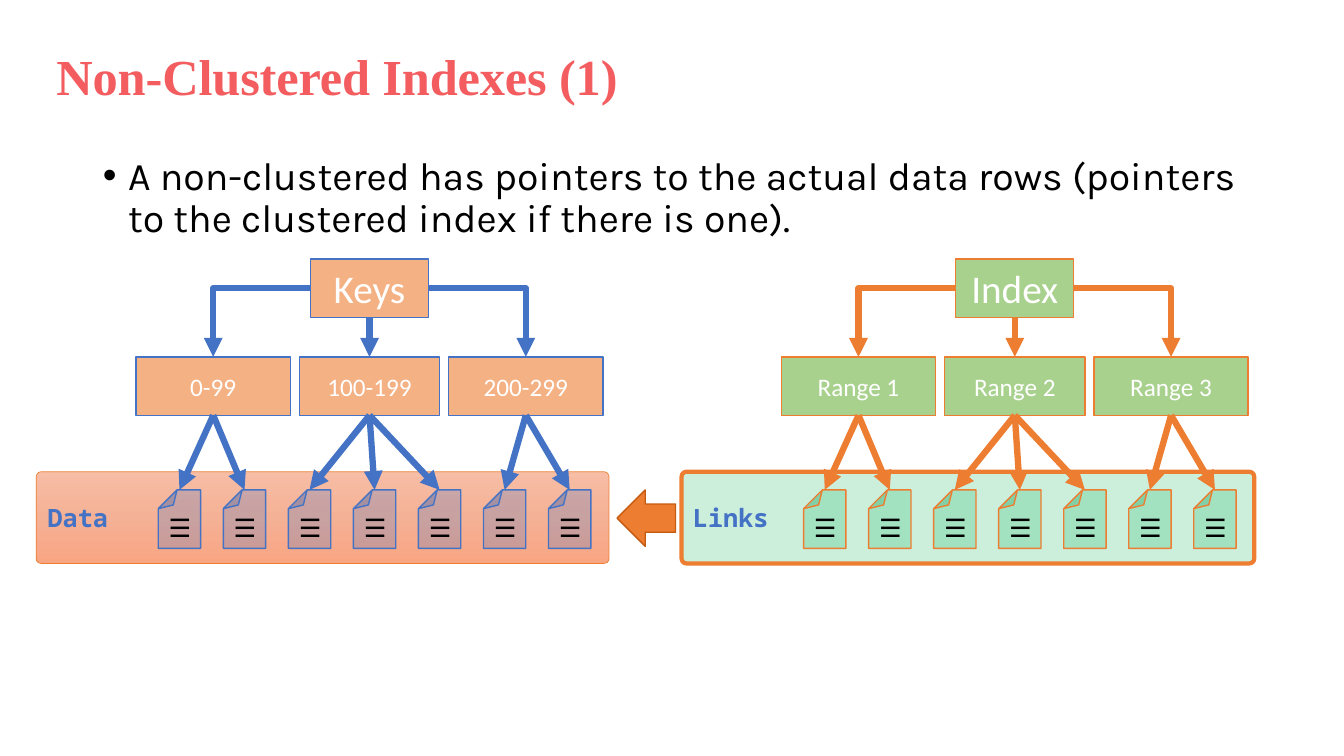
from copy import deepcopy
from dataclasses import dataclass

from pptx import Presentation
from pptx import util as u
from pptx.dml import color
from pptx.enum import shapes, text
from pptx.oxml import parse_xml
from pptx.oxml.ns import nsdecls, qn

COLORS = {
    "title": "F45D60", "black": "000000", "white": "FFFFFF",
    "blue": "4472C4", "orange": "ED7D31", "rust": "C55A11",
    "peach": "F4B183", "sage": "A9D18E", "green": "00B050",
}
DATA_GRADIENT = {0: "F7BDA5", 0.5: "F5B196", 1: "F8A582"}
SANS, MONO = "Calibri", "Noto Sans Mono"
PRESET = shapes.MSO_SHAPE
ALIGN = text.PP_ALIGN
TOP, LEFT, BOTTOM, RIGHT = range(4)  # connection sites of a rectangle

ROOT_BOX = (3.08, 2.57, 1.17, 0.58)
RANGE_BOXES = [(1.35, 1.53), (2.97, 1.39), (4.45, 1.53)]  # left, width
PAGES_PER_RANGE = (2, 3, 2)
PAGE_COUNT = sum(PAGES_PER_RANGE)
PAGE_LEFT, PAGE_TOP, PAGE_WIDTH, PAGE_HEIGHT = 1.57, 4.86, 0.42, 0.58
PAGE_PITCH = 3.87 / (PAGE_COUNT - 1)


@dataclass
class IndexTree:
    offset: float
    root: str
    ranges: tuple[str, ...]
    store: str
    box_fill: str
    accent: str
    page_fill: str
    page_opacity: int
    store_line: float
    store_gradient: dict[float, str] | None = None


TREES = [
    IndexTree(0, "Keys", ("0-99", "100-199", "200-299"), "Data",
              "peach", "blue", "blue", 25, 0.5, DATA_GRADIENT),
    IndexTree(6.4, "Index", ("Range 1", "Range 2", "Range 3"), "Links",
              "sage", "orange", "green", 20, 3),
]


def rgb(name: str) -> color.RGBColor:
    return color.RGBColor.from_string(COLORS[name])


def inches(*lengths: float) -> list[u.Length]:
    return [u.Inches(length) for length in lengths]


def write(frame, words: str, size: float, font: str, ink: str,
          align=ALIGN.CENTER, bold: bool = False):
    paragraph = frame.paragraphs[0]
    paragraph.alignment = align
    run = paragraph.add_run()
    run.text = words
    for key, value in {"size": u.Pt(size), "name": font, "bold": bold}.items():
        setattr(run.font, key, value)
    run.font.color.rgb = rgb(ink)
    return run


def place(placeholder, box: tuple[float, ...]) -> None:
    for side, value in zip(("left", "top", "width", "height"), inches(*box)):
        setattr(placeholder, side, value)


def add_block(slide, preset, box: tuple[float, ...], fill: str, line: str,
              line_width: float = 1, opacity: int = 100):
    block = slide.shapes.add_shape(preset, *inches(*box))
    block.shadow.inherit = False
    block.fill.solid()
    block.fill.fore_color.rgb = rgb(fill)
    if opacity < 100:
        tint = block._element.spPr.find(f"{qn('a:solidFill')}/{qn('a:srgbClr')}")
        tint.append(parse_xml(f'<a:alpha {nsdecls("a")} val="{opacity * 1000}"/>'))
    block.line.color.rgb = rgb(line)
    block.line.width = u.Pt(line_width)
    return block


def shade(block, stops: dict[float, str]) -> None:
    """Fill the block with a top-to-bottom gradient."""
    block.fill.gradient()
    block.fill.gradient_angle = 270
    stop_list = block._element.spPr.find(f"{qn('a:gradFill')}/{qn('a:gsLst')}")
    while len(stop_list) < len(stops):
        stop_list.append(deepcopy(stop_list[0]))
    for stop, (position, hex_value) in zip(block.fill.gradient_stops, stops.items()):
        stop.color.rgb = color.RGBColor.from_string(hex_value)
        stop.position = position


def add_arrow(slide, start, site: int, accent: str, end=None,
              point: tuple[float, float] = (0, 0), bent: bool = False) -> None:
    """Draw an arrow from a box's site to the top of another box or to a point."""
    kind = shapes.MSO_CONNECTOR.ELBOW if bent else shapes.MSO_CONNECTOR.STRAIGHT
    arrow = slide.shapes.add_connector(kind, 0, 0, *inches(*point))
    arrow.begin_connect(start, site)
    if end is not None:
        arrow.end_connect(end, TOP)
    arrow.line.color.rgb = rgb(accent)
    arrow.line.width = u.Pt(4.5)
    properties = arrow._element.spPr
    if bent:
        properties.find(qn("a:prstGeom")).set("prst", "bentConnector2")
    properties.find(qn("a:ln")).append(
        parse_xml(f'<a:tailEnd {nsdecls("a")} type="triangle"/>'))
    properties.append(parse_xml(f'<a:effectLst {nsdecls("a")}/>'))


def add_page(slide, left: float, tree: IndexTree) -> None:
    page = add_block(slide, PRESET.FOLDED_CORNER,
                     (left, PAGE_TOP, PAGE_WIDTH, PAGE_HEIGHT),
                     tree.page_fill, tree.accent, opacity=tree.page_opacity)
    page.rotation = 180
    fold = page._element.spPr.find(f"{qn('a:prstGeom')}/{qn('a:avLst')}")
    for guide in list(fold):
        fold.remove(guide)
    fold.append(parse_xml(f'<a:gd {nsdecls("a")} name="adj" fmla="val 44200"/>'))
    rows = slide.shapes.add_textbox(*inches(left - 0.12, 5.03, 0.67, 0.4)).text_frame
    rows.word_wrap = True
    rows.auto_size = text.MSO_AUTO_SIZE.SHAPE_TO_FIT_TEXT
    write(rows, "☰", 18, MONO, "black", bold=True)


def add_tree(slide, tree: IndexTree) -> None:
    def add_node(words: str, size: float, box: tuple[float, ...]):
        left, *rest = box
        node = add_block(slide, PRESET.RECTANGLE, (left + tree.offset, *rest),
                         tree.box_fill, tree.accent)
        write(node.text_frame, words, size, SANS, "white")
        return node

    root = add_node(tree.root, 28, ROOT_BOX)

    store = add_block(slide, PRESET.ROUNDED_RECTANGLE,
                      (0.36 + tree.offset, 4.68, 5.68, 0.91), tree.page_fill,
                      "orange", tree.store_line, tree.page_opacity)
    store.adjustments[0] = 0.053
    if tree.store_gradient:
        shade(store, tree.store_gradient)
    write(store.text_frame, tree.store, 18, MONO, "blue", ALIGN.LEFT, True)

    page_lefts = [PAGE_LEFT + tree.offset + i * PAGE_PITCH for i in range(PAGE_COUNT)]
    for left in page_lefts:
        add_page(slide, left, tree)

    range_nodes = [add_node(words, 18, (left, 3.54, width, 0.58))
                   for words, (left, width) in zip(tree.ranges, RANGE_BOXES)]
    for node, site in zip(range_nodes, (LEFT, BOTTOM, RIGHT)):
        add_arrow(slide, root, site, tree.accent, end=node, bent=site != BOTTOM)

    remaining = iter(page_lefts)
    for node, count in zip(range_nodes, PAGES_PER_RANGE):
        for _ in range(count):
            page_center = next(remaining) + PAGE_WIDTH / 2
            add_arrow(slide, node, BOTTOM, tree.accent, point=(page_center, PAGE_TOP))


def add_heading(slide) -> None:
    title = slide.shapes.title
    place(title, (0.46, 0.4, 6.68, 0.71))
    title.text_frame.vertical_anchor = text.MSO_ANCHOR.TOP
    title.text_frame.auto_size = text.MSO_AUTO_SIZE.NONE
    run = write(title.text_frame, "Non-Clustered Indexes (1)", 36,
                "Times New Roman", "title", ALIGN.LEFT, True)
    run._r.get_or_add_rPr().set("spc", "-10")


def add_definition(slide) -> None:
    body = slide.placeholders[1]
    place(body, (0.92, 1.5, 11.5, 4.76))
    body.text_frame.auto_size = text.MSO_AUTO_SIZE.NONE
    write(body.text_frame,
          "A non-clustered has pointers to the actual data rows (pointers "
          "to the clustered index if there is one).", 28, "Karla", "black", ALIGN.LEFT)
    paragraph = body.text_frame.paragraphs[0]
    for key, value in {"line_spacing": 0.9, "space_before": u.Pt(0)}.items():
        setattr(paragraph, key, value)
    indents = paragraph._p.get_or_add_pPr()
    for key, value in {"marL": 0.25, "indent": -0.25}.items():
        indents.set(key, str(u.Inches(value)))


def main() -> None:
    deck = Presentation()
    deck.slide_width, deck.slide_height = inches(13.33, 7.5)
    slide = deck.slides.add_slide(deck.slide_layouts[1])
    add_heading(slide)
    add_definition(slide)
    for tree in TREES:
        add_tree(slide, tree)
    pointer = add_block(slide, PRESET.RIGHT_ARROW, (6.12, 4.86, 0.58, 0.56),
                        "orange", "rust")
    pointer.rotation = 180
    deck.save("out.pptx")


if __name__ == "__main__":
    main()
